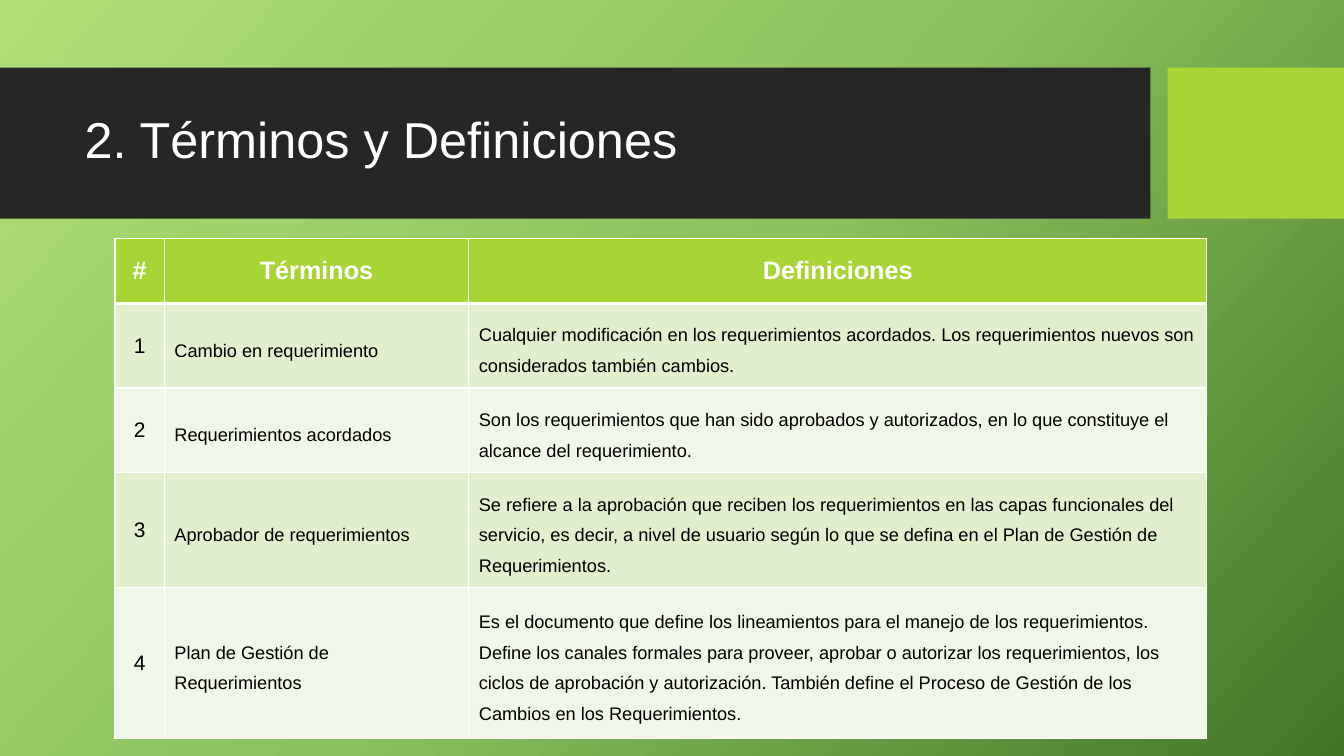
from copy import deepcopy

from lxml import etree
from pptx import Presentation
from pptx.dml.color import RGBColor
from pptx.enum.shapes import MSO_SHAPE
from pptx.enum.text import MSO_ANCHOR, PP_ALIGN
from pptx.oxml.ns import qn
from pptx.util import Inches, Pt

RECTANGLE = MSO_SHAPE.RECTANGLE
MIDDLE = MSO_ANCHOR.MIDDLE
CENTER, LEFT = PP_ALIGN.CENTER, PP_ALIGN.LEFT

WHITE, BLACK, DARK, LIME = "FFFFFF", "000000", "262626", "A7D535"
BANDS = ["E1EFCE", "F1F7E8"]
GRADIENT = ["AFDE77", "8BC25D", "437528"]
COLUMNS = [0.49, 3.02, 7.32]
ROWS = [0.64, 0.84, 0.84, 1.14, 1.5]
HEADINGS = ["#", "Términos", "Definiciones"]
TERMS = [
    ("Cambio en requerimiento",
     "Cualquier modificación en los requerimientos acordados. Los requerimientos "
     "nuevos son considerados también cambios."),
    ("Requerimientos acordados",
     "Son los requerimientos que han sido aprobados y autorizados, en lo que "
     "constituye el alcance del requerimiento."),
    ("Aprobador de requerimientos",
     "Se refiere a la aprobación que reciben los requerimientos en las capas "
     "funcionales del servicio, es decir, a nivel de usuario según lo que se defina "
     "en el Plan de Gestión de Requerimientos."),
    ("Plan de Gestión de Requerimientos",
     "Es el documento que define los lineamientos para el manejo de los "
     "requerimientos. Define los canales formales para proveer, aprobar o autorizar "
     "los requerimientos, los ciclos de aprobación y autorización. También define el "
     "Proceso de Gestión de los Cambios en los Requerimientos."),
]
HEADING_STYLE = {"size": 18, "bold": True, "ink": WHITE, "align": CENTER}
NUMBER_STYLE = {"size": 15, "align": CENTER}
BODY_STYLE = {"size": 13, "spacing": 1.5}


def color(value):
    """Turn a hex string into a colour."""
    return RGBColor.from_string(value)


class Page:
    """Holds the style and the current slide."""

    def __init__(self, slide, font="Arial"):
        """Keep the slide and its font."""
        self.slide = slide
        self.font = font

    def background(self, colors, angle):
        """Fill the slide with an evenly stepped gradient."""
        fill = self.slide.background.fill
        fill.gradient()
        fill.gradient_angle = 360 - angle
        stops = self.slide.element.find(".//" + qn("a:gsLst"))
        stops.insert(1, deepcopy(stops[0]))
        for index, (stop, value) in enumerate(zip(fill.gradient_stops, colors)):
            stop.color.rgb = color(value)
            stop.position = index / (len(colors) - 1)

    def rectangle(self, left, top, width, height, fill):
        """Draw a plain block."""
        shape = self.slide.shapes.add_shape(
            RECTANGLE, Inches(left), Inches(top), Inches(width), Inches(height))
        shape.shadow.inherit = False
        shape.fill.solid()
        shape.fill.fore_color.rgb = color(fill)
        shape.line.fill.background()

    def paragraph(self, frame, text, size, bold=False, ink=BLACK, align=LEFT,
                  spacing=1.0):
        """Put one styled paragraph into a text frame."""
        paragraph = frame.paragraphs[0]
        for name, value in {"alignment": align, "line_spacing": spacing}.items():
            setattr(paragraph, name, value)
        span = paragraph.add_run()
        span.text = text
        formats = {"name": self.font, "size": Pt(size), "bold": bold}
        for name, value in formats.items():
            setattr(span.font, name, value)
        span.font.color.rgb = color(ink)

    def text(self, left, top, width, height, text, **style):
        """Add a text box centred vertically."""
        box = self.slide.shapes.add_textbox(
            Inches(left), Inches(top), Inches(width), Inches(height))
        frame = box.text_frame
        for name, value in {"word_wrap": True, "vertical_anchor": MIDDLE}.items():
            setattr(frame, name, value)
        self.paragraph(frame, text, **style)

    def borders(self, cell, widths):
        """Draw white borders of the given widths in points."""
        properties = cell._tc.get_or_add_tcPr()
        for side, width in widths.items():
            line = etree.SubElement(properties, qn("a:ln" + side), w=str(Pt(width)))
            fill = etree.SubElement(line, qn("a:solidFill"))
            etree.SubElement(fill, qn("a:srgbClr"), val=WHITE)

    def cell(self, cell, text, fill, widths, **style):
        """Outline, fill and label one table cell."""
        self.borders(cell, widths)
        cell.fill.solid()
        cell.fill.fore_color.rgb = color(fill)
        cell.vertical_anchor = MIDDLE
        self.paragraph(cell.text_frame, text, **style)

    def table(self, left, top, columns, rows, headings, terms):
        """Add the numbered table of terms."""
        table = self.slide.shapes.add_table(
            len(rows), len(columns), Inches(left), Inches(top),
            Inches(sum(columns)), Inches(sum(rows))).table
        for column, width in zip(table.columns, columns):
            column.width = Inches(width)
        for row, height in zip(table.rows, rows):
            row.height = Inches(height)
        records = [headings] + [
            (str(number), *term) for number, term in enumerate(terms, 1)]
        for row, record in enumerate(records):
            fill = BANDS[(row - 1) % 2] if row else LIME
            widths = {"L": 1, "R": 1, "T": 3 if row == 1 else 1,
                      "B": 1 if row else 3}
            for column, text in enumerate(record):
                style = BODY_STYLE if column else NUMBER_STYLE
                self.cell(table.cell(row, column), text, fill, widths,
                          **(style if row else HEADING_STYLE))


def main():
    """Build and save the deck."""
    deck = Presentation()
    deck.slide_width, deck.slide_height = Inches(13.33), Inches(7.5)
    page = Page(deck.slides.add_slide(deck.slide_layouts[6]))
    page.background(GRADIENT, 42)
    page.rectangle(0, 0.67, 11.41, 1.5, DARK)
    page.rectangle(11.58, 0.67, 1.75, 1.5, LIME)
    page.text(0.74, 0.82, 10.51, 1.18, "2. Términos y Definiciones",
              size=36, ink=WHITE, spacing=0.9)
    page.table(1.14, 2.37, COLUMNS, ROWS, HEADINGS, TERMS)
    deck.save("out.pptx")


if __name__ == "__main__":
    main()
